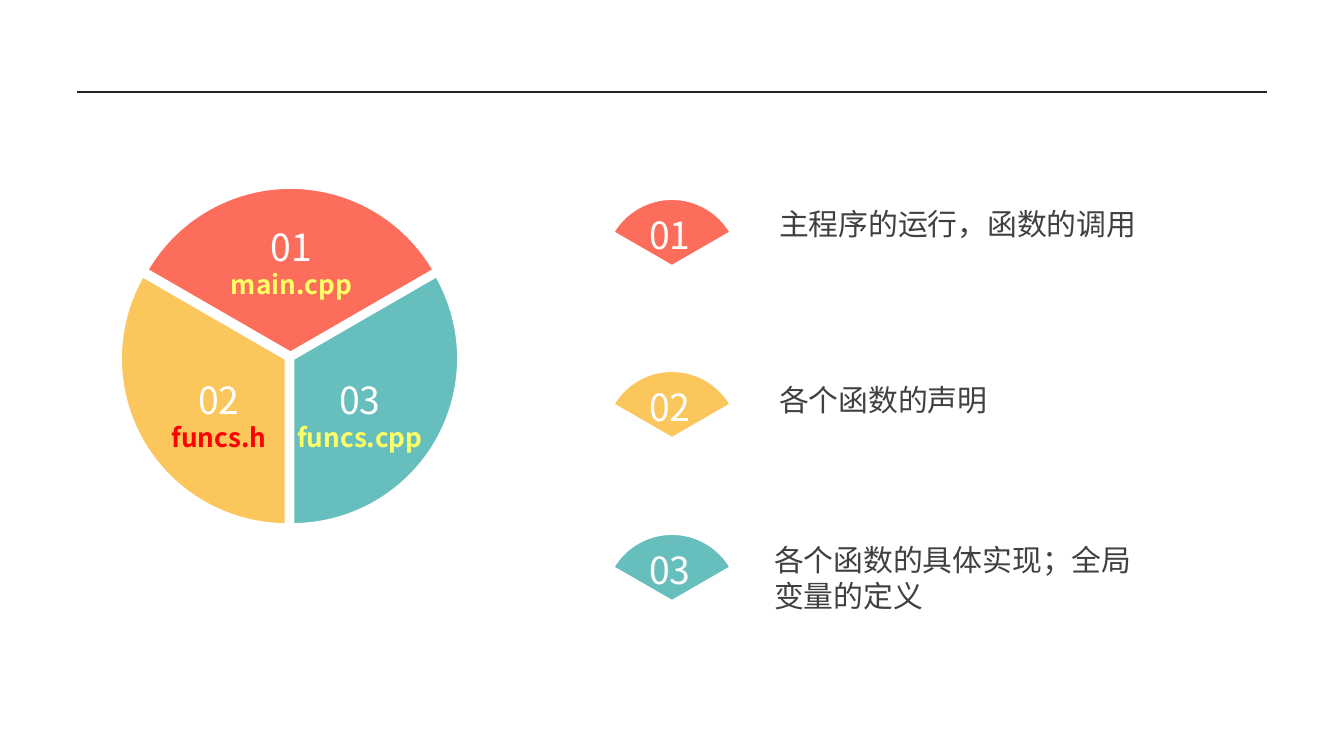
from lxml.etree import SubElement
from pptx import Presentation
from pptx.dml.color import RGBColor
from pptx.enum.shapes import MSO_CONNECTOR as Connector, MSO_SHAPE as Shape
from pptx.enum.text import MSO_AUTO_SIZE as AutoSize, PP_ALIGN as Align
from pptx.oxml.ns import qn
from pptx.util import Emu, Pt

PX = 914400 / 134.4
WIDTH, HEIGHT = 1344, 756
FONT = "Noto Sans CJK SC"

WHITE = RGBColor(0xFF, 0xFF, 0xFF)
DARK = RGBColor(0x26, 0x26, 0x26)
GRAY = RGBColor(0x40, 0x40, 0x40)
CORAL = RGBColor(0xFC, 0x6D, 0x5C)
AMBER = RGBColor(0xFB, 0xC6, 0x5C)
TEAL = RGBColor(0x66, 0xBF, 0xBD)
YELLOW = RGBColor(0xFF, 0xFF, 0x66)
RED = RGBColor(0xFF, 0x00, 0x00)


def px(*lengths):
    return [Emu(round(length * PX)) for length in lengths]


def write(para, text, size=20, color=WHITE, bold=False, align=None, spacing=None):
    para.alignment = align
    para.line_spacing = spacing
    span = para.add_run()
    span.text = text
    span.font.size = Pt(size)
    span.font.bold = bold
    span.font.color.rgb = color
    span.font.name = FONT
    SubElement(span._r.get_or_add_rPr(), qn("a:ea"), typeface=FONT)


class Painter:
    """Draws the elements of one page in a common style."""

    def __init__(self, page):
        self.page = page

    def rule(self, left, right, y):
        line = self.page.shapes.add_connector(Connector.STRAIGHT, *px(left, y, right, y))
        line.line.color.rgb = DARK
        line.line.width = Pt(1)
        SubElement(line._element.spPr, qn("a:effectLst"))

    def group(self):
        return self.page.shapes.add_group_shape().shapes

    def sector(self, shapes, left, top, size, rotation, color):
        """Draws a third of a disc, turned into place."""
        sector = shapes.add_shape(Shape.PIE, *px(left, top, size, size))
        # Angles of 270 and 30 degrees, in units of 100000/60000 degree
        sector.adjustments[0] = 162
        sector.adjustments[1] = 18
        sector.rotation = rotation
        sector.shadow.inherit = False
        sector.fill.solid()
        sector.fill.fore_color.rgb = color
        sector.line.color.rgb = WHITE
        sector.line.width = Pt(2)

    def frame(self, shapes, left, top, width, height, wrap=False):
        frame = shapes.add_textbox(*px(left, top, width, height)).text_frame
        frame.word_wrap = wrap
        frame.auto_size = AutoSize.SHAPE_TO_FIT_TEXT
        return frame

    def note(self, text, left, top, width, height):
        frame = self.frame(self.page.shapes, left, top, width, height, wrap=True)
        write(frame.paragraphs[0], text, size=16, color=GRAY)

    def badge(self, number, top, color):
        shapes = self.group()
        self.sector(shapes, 603, top, 138, 300, color)
        write(self.frame(shapes, 636, top + 8, 71, 59).paragraphs[0], number)

    def file_label(self, shapes, number, name, color, left, top, width):
        frame = self.frame(shapes, left, top, width, 113)
        write(frame.paragraphs[0], number, align=Align.CENTER, spacing=1.5)
        write(frame.add_paragraph(), name, size=14, color=color, bold=True,
              align=Align.CENTER)


def main():
    deck = Presentation()
    deck.slide_width, deck.slide_height = px(WIDTH, HEIGHT)
    painter = Painter(deck.slides.add_slide(deck.slide_layouts[6]))

    painter.rule(77, 1267, 92)
    painter.note("主程序的运行，函数的调用", 766, 199, 485, 50)
    painter.note("各个函数的声明", 766, 375, 485, 50)
    painter.note("各个函数的具体实现；全局变量的定义", 761, 535, 410, 86)

    # number, file, file color, sector color, rotation, sector corner, label box
    files = [
        ("01", "main.cpp", YELLOW, CORAL, 300, (124, 187), (216, 195, 151)),
        ("02", "funcs.h", RED, AMBER, 180, (120, 192), (157, 348, 124)),
        ("03", "funcs.cpp", YELLOW, TEAL, 60, (126, 192), (282, 348, 156)),
    ]
    disc = painter.group()
    for number, name, name_color, color, rotation, corner, label in files:
        painter.sector(disc, *corner, 333, rotation, color)
        painter.file_label(disc, number, name, name_color, *label)

    for number, top, color in [("01", 198, CORAL), ("02", 370, AMBER), ("03", 533, TEAL)]:
        painter.badge(number, top, color)

    deck.save("out.pptx")


if __name__ == "__main__":
    main()
